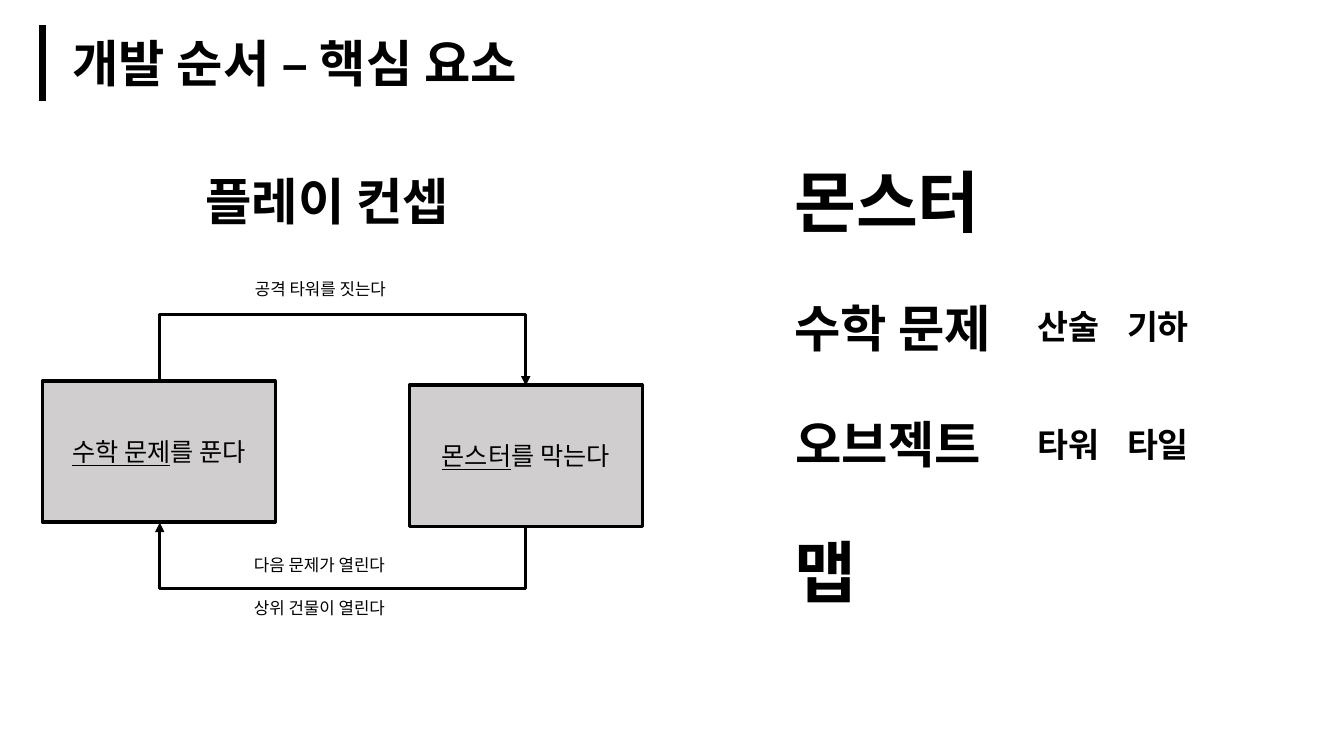
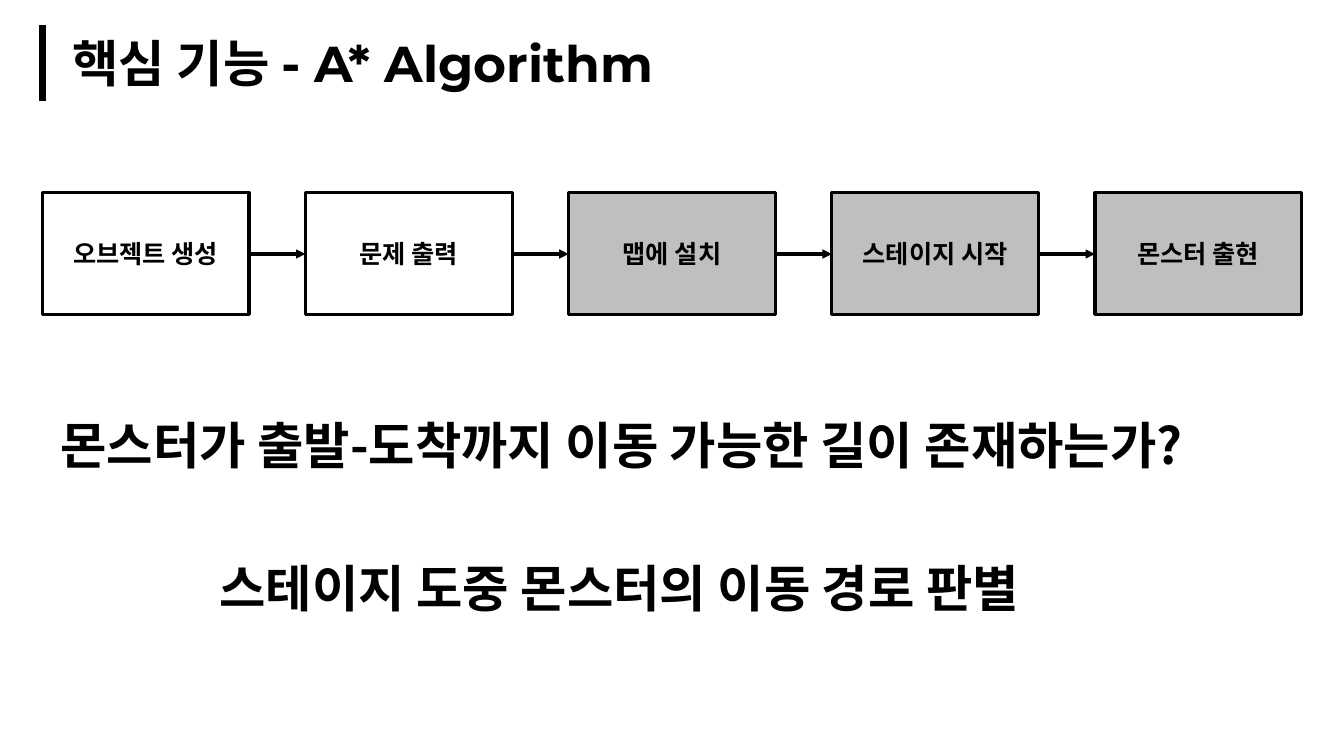
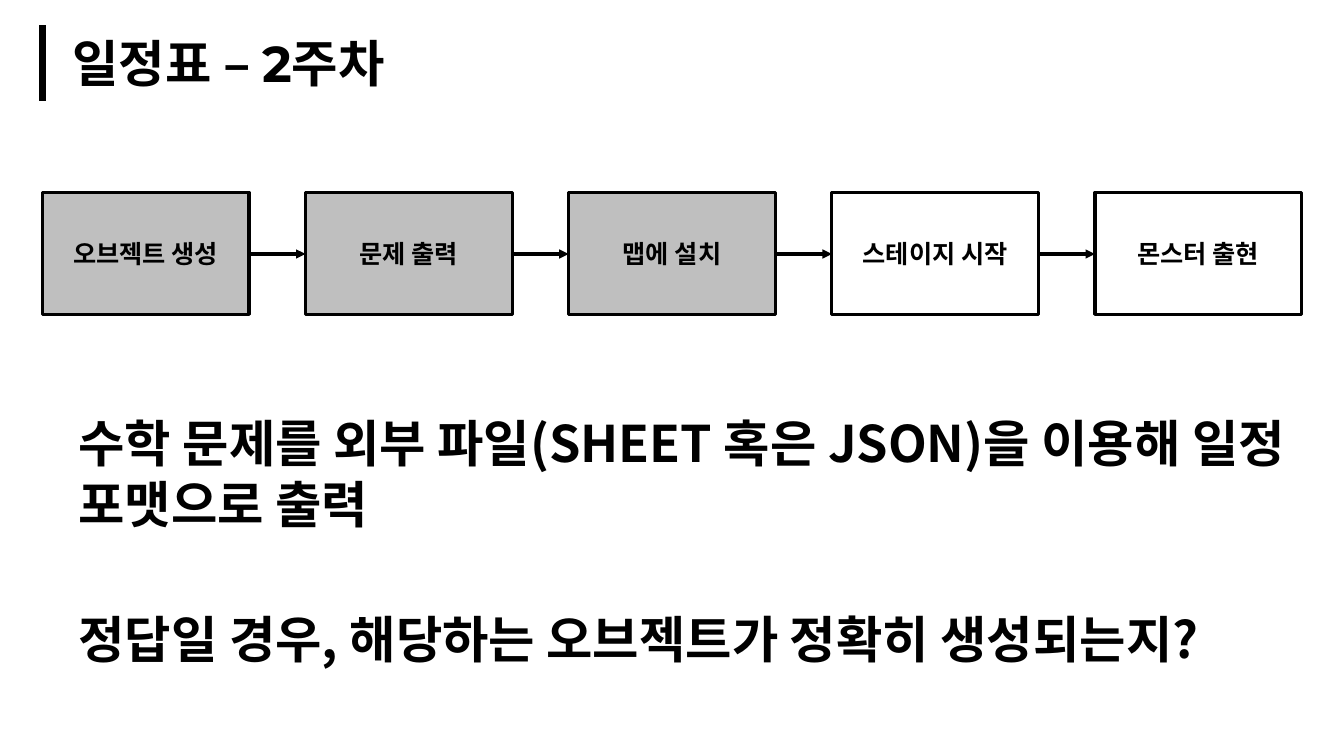
from lxml.etree import SubElement
from pptx import Presentation
from pptx.dml.color import RGBColor
from pptx.enum.shapes import MSO_CONNECTOR, MSO_SHAPE
from pptx.enum.text import MSO_ANCHOR, MSO_AUTO_SIZE, PP_ALIGN
from pptx.oxml.ns import qn
from pptx.util import Inches, Pt

COLORS = {"ink": "000000", "card": "D0CECE", "step": "BFBFBF"}
MONT = "Montserrat"
NOTO = "Noto Sans CJK KR"


def write(frame, parts, size, bold=True, wrap=True, grow=True, align=PP_ALIGN.LEFT):
    frame.word_wrap = wrap
    frame.auto_size = MSO_AUTO_SIZE.SHAPE_TO_FIT_TEXT if grow else MSO_AUTO_SIZE.NONE
    frame.vertical_anchor = MSO_ANCHOR.TOP if grow else MSO_ANCHOR.MIDDLE
    line = frame.paragraphs[0]
    line.alignment = align
    for text, face in parts:
        run = line.add_run()
        run.text = text
        font = run.font
        font.name, font.size, font.bold = face, Pt(size), bold
        font.color.rgb = RGBColor.from_string(COLORS["ink"])
        SubElement(run._r.get_or_add_rPr(), qn("a:ea"), typeface=NOTO)


def stroke(line, width, arrow=True):
    line.line.color.rgb = RGBColor.from_string(COLORS["ink"])
    line.line.width = Pt(width)
    if arrow:
        SubElement(line.line._get_or_add_ln(), qn("a:tailEnd"), type="triangle")
    SubElement(line._element.spPr, qn("a:effectLst"))


deck = Presentation()
deck.slide_width, deck.slide_height = Inches(13.33), Inches(7.5)

titles = [
    ([("개발 순서 – 핵심 요소", MONT)], 5.16),
    ([("핵심 기능 ", NOTO), ("- A* Algorithm", MONT)], 6.39),
    ([("일정표 – 2주차", MONT)], 3.65),
]
slides = []
for parts, wide in titles:
    slide = deck.slides.add_slide(deck.slide_layouts[5])
    title = slide.shapes.title
    title.left, title.top = Inches(0.62), Inches(0.27)
    title.width, title.height = Inches(wide), Inches(0.71)
    write(title.text_frame, parts, 36)
    bar = slide.shapes.add_connector(
        MSO_CONNECTOR.STRAIGHT, Inches(0.42), Inches(0.25), Inches(0.42), Inches(1))
    stroke(bar, 5, False)
    slides.append(slide)
core, search, week = slides

boxes = []
for left, top, key, rest in [
    (0.42, 3.78, "수학 문제", "를 푼다"),
    (4.06, 3.82, "몬스터", "를 막는다"),
]:
    box = core.shapes.add_shape(
        MSO_SHAPE.RECTANGLE, Inches(left), Inches(top), Inches(2.31), Inches(1.4))
    box.shadow.inherit = False
    box.fill.solid()
    box.fill.fore_color.rgb = RGBColor.from_string(COLORS["card"])
    box.line.color.rgb = RGBColor.from_string(COLORS["ink"])
    box.line.width = Pt(2.25)
    write(box.text_frame, [(key, NOTO), (rest, NOTO)], 18, False,
          grow=False, align=PP_ALIGN.CENTER)
    box.text_frame.paragraphs[0].runs[0].font.underline = True
    boxes.append(box)

solve, block = boxes
for start, end, site, top, turn, bend in [
    (solve, block, 0, 1.99, 270, -16.5),
    (block, solve, 2, 3.39, 90, -15.25),
]:
    loop = core.shapes.add_connector(MSO_CONNECTOR.ELBOW, 0, 0, 0, 0)
    loop.begin_connect(start, site)
    loop.end_connect(end, site)
    loop.left, loop.top = Inches(3.38), Inches(top)
    loop.width, loop.height = Inches(0.04), Inches(3.63)
    frame = loop._element.spPr.find(qn("a:xfrm"))
    for name, value in [("rot", turn * 60000), ("flipH", 1), ("flipV", 0)]:
        frame.set(name, str(value))
    guides = loop._element.spPr.find(qn("a:prstGeom")).find(qn("a:avLst"))
    SubElement(guides, qn("a:gd"), name="adj1", fmla=f"val {int(bend * 100000)}")
    stroke(loop, 2.25)

steps = ["오브젝트 생성", "문제 출력", "맵에 설치", "스테이지 시작", "몬스터 출현"]
for slide, active in [(search, (2, 3, 4)), (week, (0, 1, 2))]:
    for i, step in enumerate(steps):
        left = 0.42 + i * 2.61
        box = slide.shapes.add_shape(
            MSO_SHAPE.RECTANGLE, Inches(left), Inches(1.91), Inches(2.05), Inches(1.21))
        box.shadow.inherit = False
        if i in active:
            box.fill.solid()
            box.fill.fore_color.rgb = RGBColor.from_string(COLORS["step"])
        else:
            box.fill.background()
        box.line.color.rgb = RGBColor.from_string(COLORS["ink"])
        box.line.width = Pt(2.25)
        write(box.text_frame, [(step, NOTO)], 18, grow=False, align=PP_ALIGN.CENTER)
        if i:
            arrow = slide.shapes.add_connector(
                MSO_CONNECTOR.STRAIGHT, Inches(left - 0.56), Inches(2.52),
                Inches(left), Inches(2.52))
            stroke(arrow, 2.25)

heights = {12: 0.36, 24: 0.5, 36: 0.71, 48: 0.91}
labels = [
    (core, "공격 타워를 짓는다", 2.43, 2.72, 1.94, 12, NOTO, False),
    (core, "다음 문제가 열린다", 2.42, 5.45, 1.94, 12, NOTO, False),
    (core, "상위 건물이 열린다", 2.42, 5.88, 1.94, 12, NOTO, False),
    (core, "플레이 컨셉", 1.94, 1.64, 2.91, 36, MONT, True),
    (core, "몬스터", 7.78, 1.54, 2.22, 48, MONT, True),
    (core, "수학 문제", 7.78, 2.9, 2.41, 36, MONT, True),
    (core, "산술", 10.19, 2.99, 0.89, 24, MONT, True),
    (core, "기하", 11.08, 2.99, 0.89, 24, MONT, True),
    (core, "오브젝트", 7.79, 4.05, 2.22, 36, MONT, True),
    (core, "타워", 10.19, 4.16, 0.89, 24, MONT, True),
    (core, "타일", 11.08, 4.16, 0.89, 24, MONT, True),
    (core, "맵", 7.78, 5.21, 0.71, 48, MONT, True),
    (search, "몬스터가 출발-도착까지 이동 가능한 길이 존재하는가?",
     0.5, 4.06, 12.41, 36, NOTO, True),
    (search, "스테이지 도중 몬스터의 이동 경로 판별", 2.08, 5.48, 9.17, 36, NOTO, False),
    (week, "수학 문제를 외부 파일(SHEET 혹은 JSON)을 이용해 일정 포맷으로 출력",
     0.68, 4.04, 12.44, 36, NOTO, True),
    (week, "정답일 경우, 해당하는 오브젝트가 정확히 생성되는지?",
     0.68, 5.98, 12.55, 36, NOTO, False),
]
for slide, text, left, top, wide, size, face, wrap in labels:
    label = slide.shapes.add_textbox(
        Inches(left), Inches(top), Inches(wide), Inches(heights[size]))
    write(label.text_frame, [(text, face)], size, size > 12, wrap)

deck.save("out.pptx")
